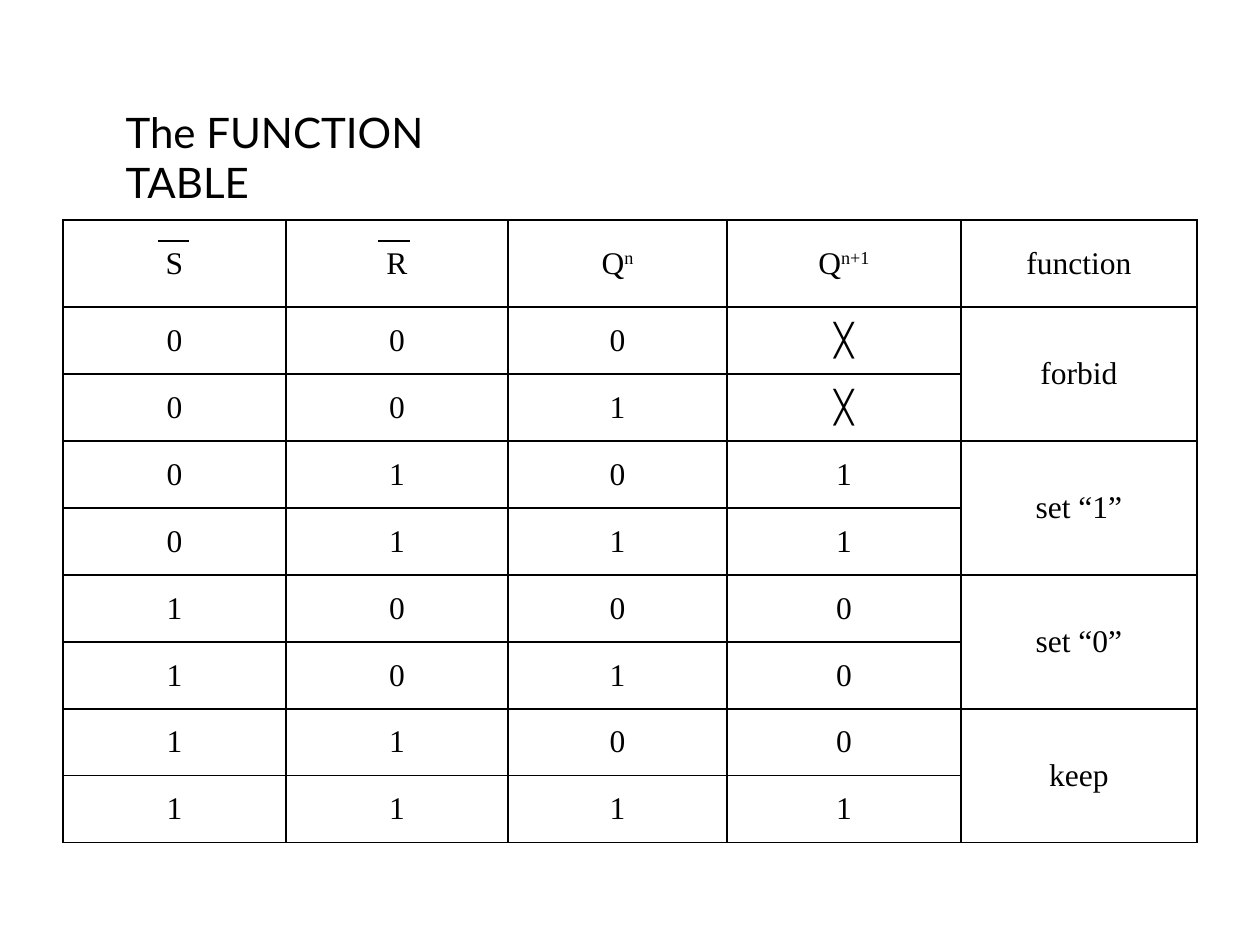
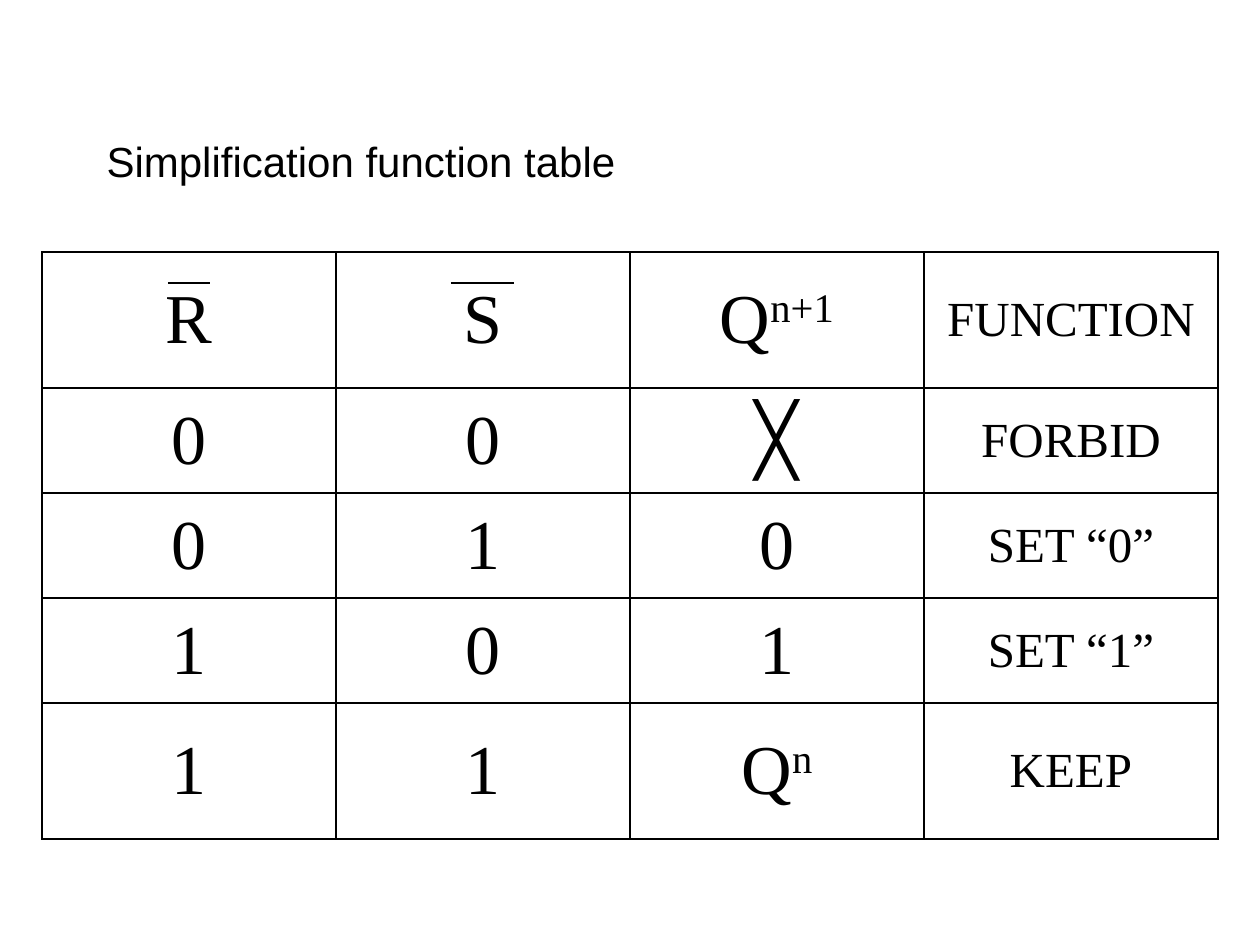
from lxml import etree
from pptx import Presentation
from pptx.dml.color import RGBColor
from pptx.enum.shapes import MSO_CONNECTOR
from pptx.enum.text import MSO_ANCHOR, MSO_AUTO_SIZE, PP_ALIGN
from pptx.oxml.ns import qn
from pptx.util import Pt

EMU_PER_PX = 914400 / 126
TITLE_ONLY = 5
BLACK = RGBColor(0x00, 0x00, 0x00)
LEFT, CENTER = PP_ALIGN.LEFT, PP_ALIGN.CENTER
TOP, MIDDLE = MSO_ANCHOR.TOP, MSO_ANCHOR.MIDDLE
NO_AUTOFIT = MSO_AUTO_SIZE.NONE
STRAIGHT = MSO_CONNECTOR.STRAIGHT
TABLE_FONT = "Times New Roman"
TITLE_SIZE = 24
GRID_WIDTH, THIN_WIDTH = Pt(1), Pt(0.75)


def px(length):
    return round(length * EMU_PER_PX)


class Deck:
    def __init__(self):
        self.presentation = Presentation()
        self.presentation.slide_width = px(1260)
        self.presentation.slide_height = px(945)
        self.slide = None

    def add_slide(self):
        layout = self.presentation.slide_layouts[TITLE_ONLY]
        self.slide = self.presentation.slides.add_slide(layout)

    def style(self, paragraph, font_name, size, alignment):
        paragraph.alignment = alignment
        paragraph.font.name = font_name
        paragraph.font.size = Pt(size)
        paragraph.font.color.rgb = BLACK

    def title(self, text, left, top, width, font_name):
        title = self.slide.shapes.title
        title.left, title.top = px(left), px(top)
        title.width, title.height = px(width), px(63)
        frame = title.text_frame
        frame.text = text
        frame.word_wrap = True
        frame.auto_size = NO_AUTOFIT
        frame.vertical_anchor = TOP
        self.style(frame.paragraphs[0], font_name, TITLE_SIZE, LEFT)

    def borders(self, cell, widths):
        properties = cell._tc.get_or_add_tcPr()
        for side, width in zip("LRTB", widths):
            line = etree.SubElement(properties, qn(f"a:ln{side}"), w=str(width))
            fill = etree.SubElement(line, qn("a:solidFill"))
            etree.SubElement(fill, qn("a:srgbClr"), val=str(BLACK))

    def cell(self, cell, text, size, hanging):
        cell.vertical_anchor = MIDDLE
        paragraph = cell.text_frame.paragraphs[0]
        if hanging:
            properties = paragraph._p.get_or_add_pPr()
            properties.set("marL", str(px(hanging)))
            properties.set("indent", str(-px(hanging)))
        base, _, exponent = text.partition("^")
        paragraph.add_run().text = base
        if exponent:
            raised = paragraph.add_run()
            raised.text = exponent
            raised.font._element.set("baseline", "30000")
        self.style(paragraph, TABLE_FONT, size, CENTER)

    def table(self, rows, left, top, widths, heights, size, label_size, hanging=0):
        table = self.slide.shapes.add_table(
            len(rows), len(widths), px(left), px(top), px(sum(widths)), px(sum(heights))
        ).table
        table.first_row = table.horz_banding = False
        for column, width in zip(table.columns, widths):
            column.width = px(width)
        for row, height in zip(table.rows, heights):
            row.height = px(height)
        last = len(widths) - 1
        for r, values in enumerate(rows):
            for c, text in enumerate(values):
                cell = table.cell(r, c)
                left_width = THIN_WIDTH if r and c == 1 else GRID_WIDTH
                right_width = THIN_WIDTH if r and c == 0 else GRID_WIDTH
                self.borders(cell, (left_width, right_width, GRID_WIDTH, GRID_WIDTH))
                cell.fill.background()
                if text is None:
                    table.cell(r - 1, c).merge(cell)
                else:
                    self.cell(cell, text, label_size if c == last else size, hanging)

    def overbar(self, left, right, y):
        bar = self.slide.shapes.add_connector(STRAIGHT, px(left), px(y), px(right), px(y))
        bar.line.color.rgb = BLACK
        bar.line.width = THIN_WIDTH
        etree.SubElement(bar._element.spPr, qn("a:effectLst"))


def build_function_table(deck):
    deck.add_slide()
    deck.title("The FUNCTION TABLE", 113, 100, 441, "Lato")
    rows = [
        ("S", "R", "Q^n", "Q^n+1", "function"),
        ("0", "0", "0", "╳", "forbid"),
        ("0", "0", "1", "╳", None),
        ("0", "1", "0", "1", "set “1”"),
        ("0", "1", "1", "1", None),
        ("1", "0", "0", "0", "set “0”"),
        ("1", "0", "1", "0", None),
        ("1", "1", "0", "0", "keep"),
        ("1", "1", "1", "1", None),
    ]
    deck.table(rows, 63, 220, [223, 222, 219, 234, 236], [87] + [67] * 8, 18, 18)
    deck.overbar(158, 189, 241)
    deck.overbar(378, 410, 241)


def build_simplified_table(deck):
    deck.add_slide()
    deck.title("Simplification function table", 94, 129, 560, "Arial")
    rows = [
        ("R", "S", "Q^n+1", "FUNCTION"),
        ("0", "0", "╳", "FORBID"),
        ("0", "1", "0", "SET “0”"),
        ("1", "0", "1", "SET “1”"),
        ("1", "1", "Q^n", "KEEP"),
    ]
    heights = [136, 105, 105, 105, 136]
    deck.table(rows, 42, 252, [294] * 4, heights, 40, 28, hanging=48)
    deck.overbar(168, 210, 283)
    deck.overbar(451, 514, 283)


def main():
    deck = Deck()
    build_function_table(deck)
    build_simplified_table(deck)
    deck.presentation.save("out.pptx")


if __name__ == "__main__":
    main()
